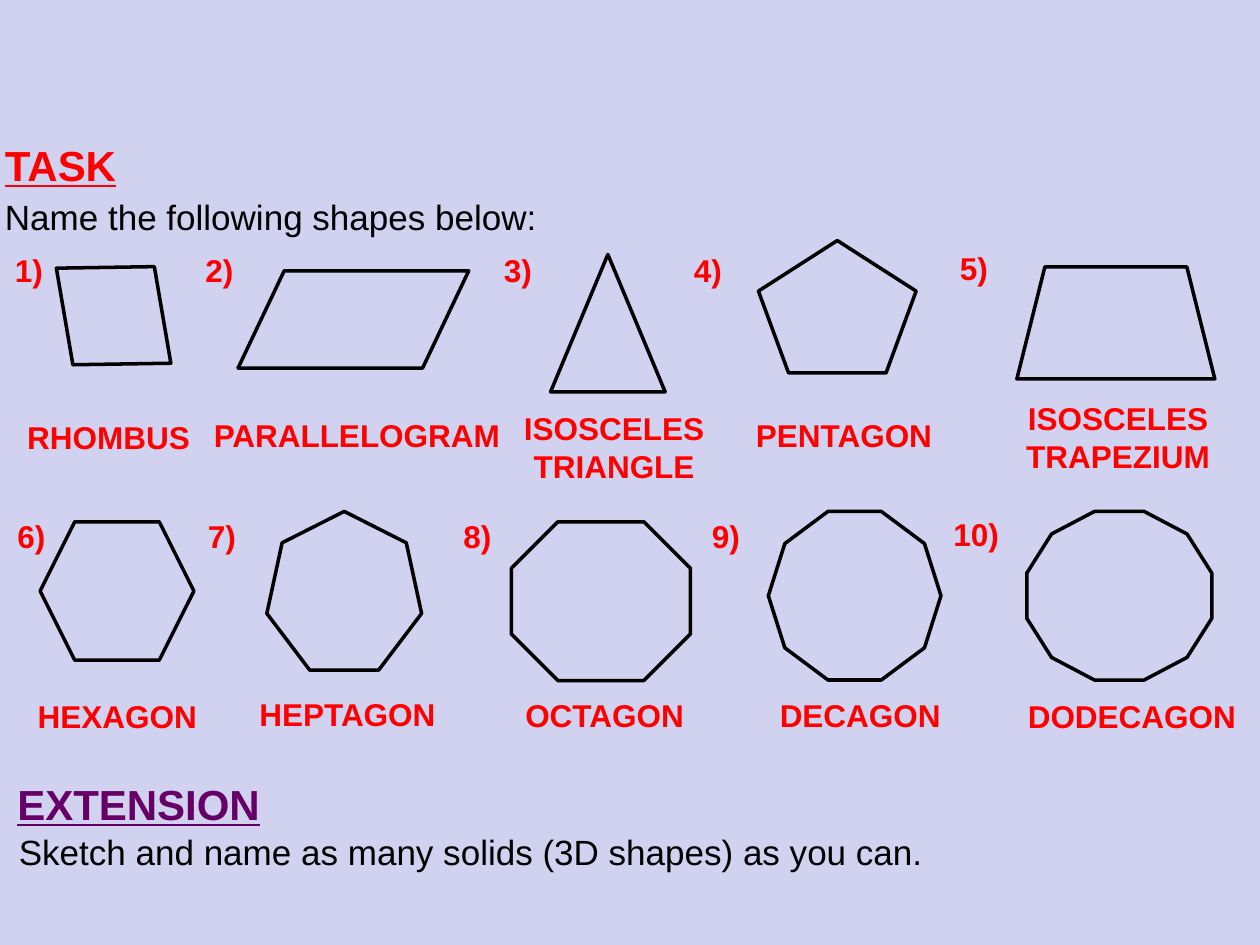
from pptx import Presentation
from pptx.dml.color import RGBColor
from pptx.enum.shapes import MSO_SHAPE as SHAPE
from pptx.enum.text import PP_ALIGN
from pptx.util import Cm, Pt

BACKGROUND = RGBColor(0xD1, 0xD1, 0xF0)
RED = RGBColor(0xFF, 0x00, 0x00)
PURPLE = RGBColor(0x66, 0x00, 0x66)
BLACK = RGBColor(0x00, 0x00, 0x00)
CENTER, LEFT = PP_ALIGN.CENTER, PP_ALIGN.LEFT

# All lengths in cm
HEADING_HEIGHT, SENTENCE_HEIGHT, LINE_HEIGHT = 1.27, 1.12, 1.02
NUMBER_WIDTH, WIDE_NUMBER_WIDTH = 1.37, 1.52

# heading, (left, top), colour, sentence, (left, top, width)
SECTIONS = [
    ("TASK", (-0.15, 2.69), RED,
     "Name the following shapes below:", (-0.15, 3.81, 17.17)),
    ("EXTENSION", (0.1, 15.57), PURPLE,
     "Sketch and name as many solids (3D shapes) as you can.", (0.13, 16.61, 18.97)),
]

# preset, (left, top, width, height), rotation,
# number (left, top), answer lines, answer (left, top, width)
QUESTIONS = [
    (SHAPE.DIAMOND, (0.79, 5.08, 3, 2.57), 39.7,
     (0.05, 4.93), ["RHOMBUS"], (0.3, 8.31, 3.84)),
    (SHAPE.FLOWCHART_DATA, (4.8, 5.46, 4.65, 1.96), 0,
     (3.89, 4.93), ["PARALLELOGRAM"], (4.06, 8.26, 6.83)),
    (SHAPE.ISOSCELES_TRIANGLE, (11.1, 5.13, 2.31, 2.77), 0,
     (9.91, 4.93), ["ISOSCELES", "TRIANGLE"], (10.26, 8.13, 4.24)),
    (SHAPE.REGULAR_PENTAGON, (15.29, 4.85, 3.18, 2.67), 0,
     (13.74, 4.93), ["PENTAGON"], (14.99, 8.26, 4.5)),
    (SHAPE.TRAPEZOID, (20.5, 5.38, 3.99, 2.26), 0,
     (19.1, 4.9), ["ISOSCELES", "TRAPEZIUM"], (20.19, 7.92, 4.7)),
    (SHAPE.HEXAGON, (0.81, 10.52, 3.1, 2.79), 0,
     (0.1, 10.3), ["HEXAGON"], (0.51, 13.92, 3.84)),
    (SHAPE.HEPTAGON, (5.38, 10.31, 3.12, 3.2), 0,
     (3.94, 10.3), ["HEPTAGON"], (4.98, 13.89, 4.17)),
    (SHAPE.OCTAGON, (10.31, 10.52, 3.61, 3.2), 0,
     (9.09, 10.3), ["OCTAGON"], (10.34, 13.91, 3.84)),
    (SHAPE.DECAGON, (15.49, 10.31, 3.48, 3.4), 0,
     (14.1, 10.3), ["DECAGON"], (15.47, 13.91, 3.84)),
    (SHAPE.DODECAGON, (20.7, 10.31, 3.73, 3.4), 0,
     (18.97, 10.26), ["DODECAGON"], (20.47, 13.92, 5.44)),
]


def add_text(slide, lines, box, size, color, bold=False, underline=None, align=LEFT):
    frame = slide.shapes.add_textbox(*map(Cm, box)).text_frame
    frame.word_wrap = True
    frame.text = "\n".join(lines)
    for paragraph in frame.paragraphs:
        paragraph.alignment = align
        font = paragraph.font
        font.name, font.size, font.bold = "Arial", Pt(size), bold
        font.underline = underline
        font.color.rgb = color


def add_outline(slide, preset, box, rotation):
    outline = slide.shapes.add_shape(preset, *map(Cm, box))
    outline.rotation = rotation
    outline.shadow.inherit = False
    outline.fill.background()
    outline.line.color.rgb = BLACK
    outline.line.width = Pt(2)


def main():
    prs = Presentation()
    prs.slide_width, prs.slide_height = Cm(25.4), Cm(19.05)
    slide = prs.slides.add_slide(prs.slide_layouts[6])
    slide.background.fill.solid()
    slide.background.fill.fore_color.rgb = BACKGROUND

    # Headings and instructions
    for heading, place, color, sentence, (left, top, width) in SECTIONS:
        add_text(slide, [heading], (*place, 6, HEADING_HEIGHT), 24, color, True, True)
        add_text(slide, [sentence], (left, top, width, SENTENCE_HEIGHT), 20, BLACK)

    # Numbered shapes with their answers
    for number, question in enumerate(QUESTIONS, 1):
        preset, box, rotation, place, answer, (left, top, width) = question
        add_outline(slide, preset, box, rotation)
        number_width = NUMBER_WIDTH if number < 10 else WIDE_NUMBER_WIDTH
        add_text(slide, [f"{number})"], (*place, number_width, LINE_HEIGHT), 18, RED, True)
        height = LINE_HEIGHT + 0.78 * (len(answer) - 1)
        add_text(slide, answer, (left, top, width, height), 18, RED, True,
                 align=CENTER if len(answer) > 1 else LEFT)

    prs.save("out.pptx")


if __name__ == "__main__":
    main()
